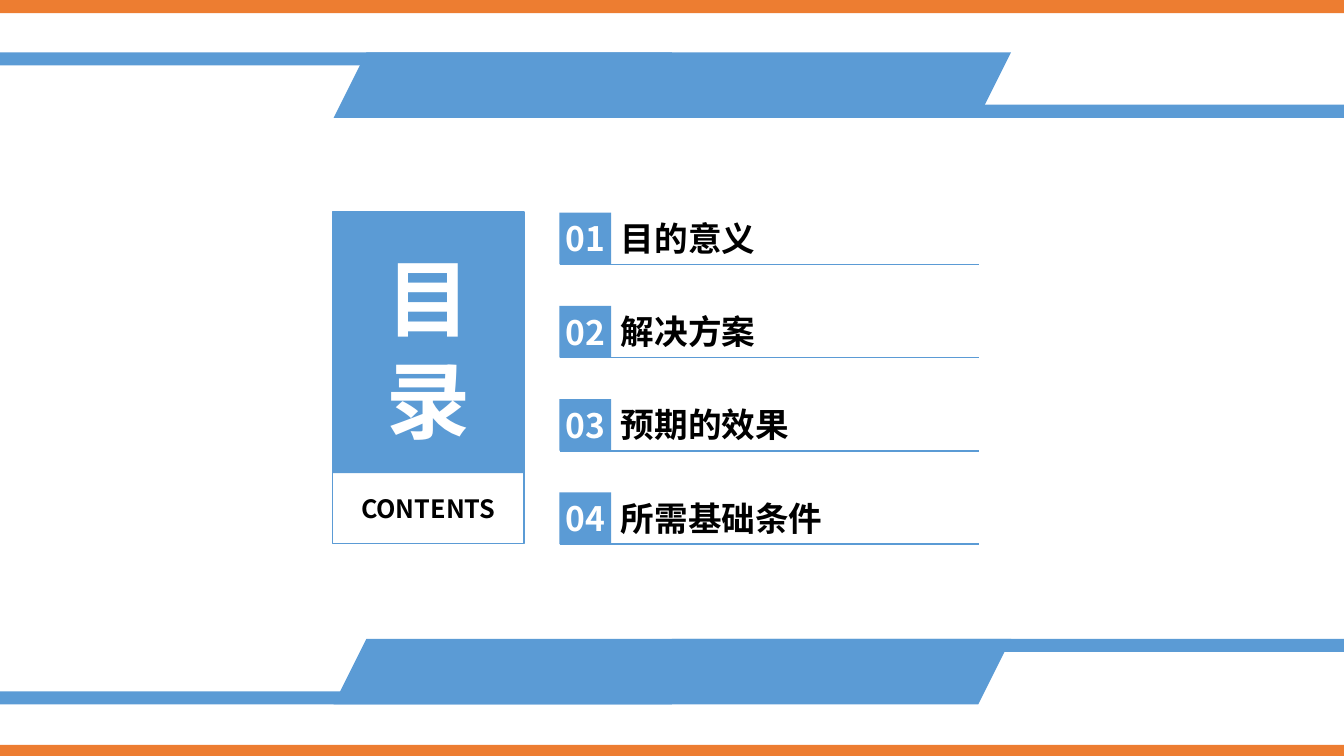
from dataclasses import dataclass

from lxml.etree import SubElement
from pptx import Presentation
from pptx.dml.color import RGBColor
from pptx.enum.shapes import MSO_CONNECTOR, MSO_SHAPE
from pptx.enum.text import MSO_ANCHOR, MSO_AUTO_SIZE, PP_ALIGN
from pptx.oxml.ns import qn
from pptx.util import Cm, Pt


@dataclass(frozen=True)
class Theme:
    """Colours, font and type sizes of the slide."""

    blue: RGBColor = RGBColor(0x5B, 0x9B, 0xD5)
    orange: RGBColor = RGBColor(0xED, 0x7D, 0x31)
    white: RGBColor = RGBColor(0xFF, 0xFF, 0xFF)
    black: RGBColor = RGBColor(0, 0, 0)
    font: str = "Noto Sans CJK SC"
    title_size: int = 60
    item_size: int = 24
    caption_size: int = 18
    line_width: int = 1


THEME = Theme()
SLIDE_WIDTH, SLIDE_HEIGHT = 33.87, 19.05
BAR_HEIGHT = 0.33
ITEMS = ("目的意义", "解决方案", "预期的效果", "所需基础条件")


def write_text(shape, text, size, color, alignment=PP_ALIGN.CENTER, margins=(0, 0, 0, 0)):
    """Put one bold, vertically centred paragraph into a shape."""
    frame = shape.text_frame
    frame.text = text
    frame.word_wrap = True
    frame.auto_size = MSO_AUTO_SIZE.NONE
    frame.vertical_anchor = MSO_ANCHOR.MIDDLE
    frame.margin_left, frame.margin_top, frame.margin_right, frame.margin_bottom = map(Cm, margins)
    paragraph = frame.paragraphs[0]
    paragraph.alignment = alignment
    for run in paragraph.runs:
        font = run.font
        font.name, font.size, font.bold = THEME.font, Pt(size), True
        font.color.rgb = color
        SubElement(run._r.get_or_add_rPr(), qn("a:ea"), typeface=THEME.font)
    return paragraph


def add_block(slide, left, top, width, height, color, kind=MSO_SHAPE.RECTANGLE):
    """Add a filled shape without outline."""
    shape = slide.shapes.add_shape(kind, Cm(left), Cm(top), Cm(width), Cm(height))
    shape.shadow.inherit = False
    shape.fill.solid()
    shape.fill.fore_color.rgb = color
    shape.line.fill.background()
    return shape


def add_banner(slide, top, height, left_bar_top, right_bar_top):
    """Add a slanted banner with one bar running to each slide edge."""
    middle = SLIDE_WIDTH / 2
    add_block(slide, 0, left_bar_top, middle, BAR_HEIGHT, THEME.blue)
    add_block(slide, middle, right_bar_top, middle, BAR_HEIGHT, THEME.blue)
    banner = add_block(slide, 8.41, top, 17.07, height, THEME.blue, MSO_SHAPE.PARALLELOGRAM)
    banner.adjustments[0] = 0.5


def add_decoration(slide):
    """Add the edge strips and the banners at the top and bottom."""
    height = 1.65
    for top in (0, SLIDE_HEIGHT - BAR_HEIGHT + 0.05):
        add_block(slide, 0, top, SLIDE_WIDTH, BAR_HEIGHT, THEME.orange)
    for top, left_is_high in ((1.32, True), (16.1, False)):
        high, low = top, top + height - BAR_HEIGHT
        bars = (high, low) if left_is_high else (low, high)
        add_banner(slide, top, height, *bars)


def add_title_panel(slide, left, top, width, height):
    """Turn the title into a filled panel above an outlined caption."""
    title_height = 6.58
    title = slide.shapes.title
    title.left, title.top = Cm(left), Cm(top)
    title.width, title.height = Cm(width), Cm(title_height)
    title.fill.solid()
    title.fill.fore_color.rgb = THEME.blue
    paragraph = write_text(title, "目录", THEME.title_size, THEME.white,
                           margins=(0.74, 0.25, 0.74, 0))
    paragraph.line_spacing = Pt(73)

    frame = add_block(slide, left, top, width, height, THEME.white)
    frame.fill.background()
    frame.line.color.rgb = THEME.blue
    frame.line.width = Pt(THEME.line_width)
    write_text(frame, "CONTENTS", THEME.caption_size, THEME.black,
               margins=(0, title_height, 0, 0))


def add_item(slide, left, top, width, size, number, label):
    """Add a numbered square, its label and the line below them."""
    square = add_block(slide, left, top, size, size, THEME.blue)
    write_text(square, f"{number:02d}", THEME.item_size, THEME.white)
    text_box = slide.shapes.add_textbox(Cm(left + size), Cm(top), Cm(10.1), Cm(1.27))
    write_text(text_box, label, THEME.item_size, THEME.black, PP_ALIGN.LEFT,
               (0.25, 0, 0.25, 0))
    bottom = Cm(top + size)
    line = slide.shapes.add_connector(MSO_CONNECTOR.STRAIGHT, Cm(left), bottom,
                                      Cm(left + width), bottom)
    line.line.color.rgb = THEME.blue
    line.line.width = Pt(THEME.line_width)
    SubElement(line._element.spPr, qn("a:effectLst"))


def add_item_list(slide, left, top, width, height):
    """Spread the items evenly over the height of the list."""
    size = 1.3
    pitch = (height - size) / (len(ITEMS) - 1)
    for index, label in enumerate(ITEMS):
        add_item(slide, left, top + index * pitch, width, size, index + 1, label)


def add_contents_slide(presentation):
    """Add the table of contents slide."""
    slide = presentation.slides.add_slide(presentation.slide_layouts[5])
    add_decoration(slide)
    add_title_panel(slide, 8.38, 5.34, 4.83, 8.35)
    add_item_list(slide, 14.1, 5.36, 10.57, 8.35)


def main():
    """Build and save the presentation."""
    presentation = Presentation()
    presentation.slide_width, presentation.slide_height = Cm(SLIDE_WIDTH), Cm(SLIDE_HEIGHT)
    add_contents_slide(presentation)
    presentation.save("out.pptx")


if __name__ == "__main__":
    main()
